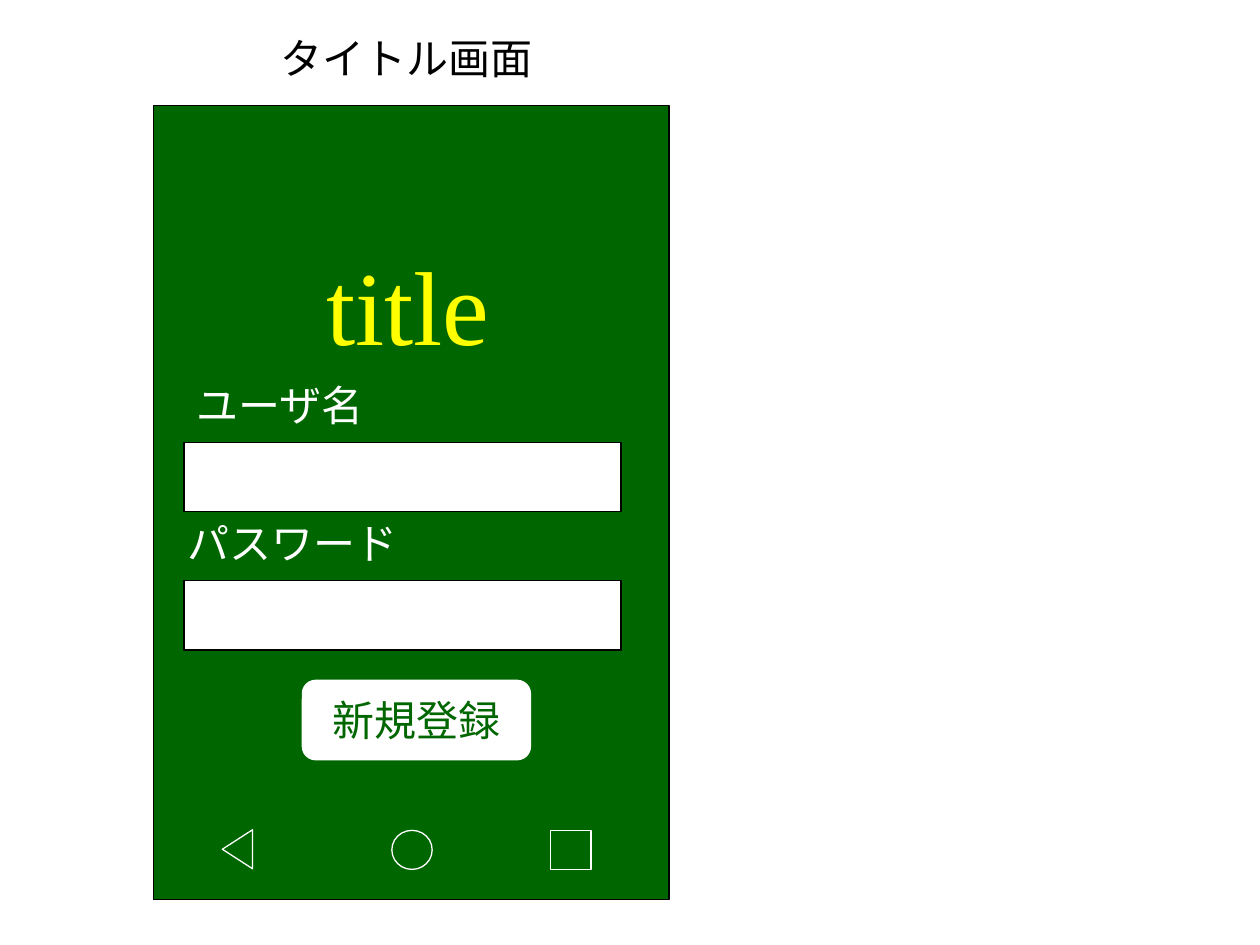
from pptx import Presentation
from pptx.dml.color import RGBColor
from pptx.enum.shapes import MSO_SHAPE
from pptx.enum.text import MSO_ANCHOR, MSO_AUTO_SIZE, PP_ALIGN
from pptx.util import Inches, Pt

RECT = MSO_SHAPE.RECTANGLE
ROUND = MSO_SHAPE.ROUNDED_RECTANGLE
OVAL = MSO_SHAPE.OVAL
TRIANGLE = MSO_SHAPE.ISOSCELES_TRIANGLE
MIDDLE, CENTER = MSO_ANCHOR.MIDDLE, PP_ALIGN.CENTER
GROW = MSO_AUTO_SIZE.SHAPE_TO_FIT_TEXT

GREEN, WHITE, BLACK, YELLOW = "006600", "FFFFFF", "000000", "FFFF00"
FONT = "Times New Roman"


def color(code):
    return RGBColor.from_string(code)


def apply(target, values):
    for name, value in values.items():
        setattr(target, name, value)


def write(frame, text, ink, size=24):
    para = frame.paragraphs[0]
    run = para.add_run()
    run.text = text
    apply(run.font, {"name": FONT, "size": Pt(size)})
    run.font.color.rgb = color(ink)
    return para


def shape(shapes, kind, box, line, fill=None):
    item = shapes.add_shape(kind, *map(Inches, box))
    item.shadow.inherit = False
    if fill:
        item.fill.solid()
        item.fill.fore_color.rgb = color(fill)
    else:
        item.fill.background()
    item.line.color.rgb = color(line)
    item.line.width = Pt(0.75)
    return item


def label(slide, box, text, ink, size=24, wrap=False):
    frame = slide.shapes.add_textbox(*map(Inches, box)).text_frame
    apply(frame, {"word_wrap": wrap, "auto_size": GROW})
    write(frame, text, ink, size)


def button(slide, box, text):
    item = shape(slide.shapes, ROUND, box, WHITE, WHITE)
    item.text_frame.vertical_anchor = MIDDLE
    write(item.text_frame, text, GREEN).alignment = CENTER


def icons(slide):
    group = slide.shapes.add_group_shape().shapes
    back = shape(group, TRIANGLE, (1.73, 6.62, 0.31, 0.24), WHITE)
    back.rotation = 270
    for kind, left in ((OVAL, 3.11), (RECT, 4.37)):
        shape(group, kind, (left, 6.59, 0.32, 0.31), WHITE)


def main():
    deck = Presentation()
    apply(deck, {"slide_width": Inches(10), "slide_height": Inches(7.5)})
    slide = deck.slides.add_slide(deck.slide_layouts[6])

    # Phone screen and headings
    shape(slide.shapes, RECT, (1.22, 0.84, 4.09, 6.3), BLACK, GREEN)
    label(slide, (2.13, 0.21, 2.22, 0.5), "タイトル画面", BLACK)
    button(slide, (2.4, 5.4, 1.81, 0.63), "新規登録")
    label(slide, (2.49, 1.86, 1.52, 1.1), "title", YELLOW, 60)

    # Navigation bar
    icons(slide)

    # Input fields and their labels
    for top in (4.61, 3.51):
        shape(slide.shapes, RECT, (1.46, top, 3.47, 0.55), BLACK, WHITE)
    label(slide, (1.46, 2.96, 1.65, 0.5), "ユーザ名", WHITE, wrap=True)
    label(slide, (1.39, 4.06, 1.89, 0.5), "パスワード", WHITE)

    deck.save("out.pptx")


if __name__ == "__main__":
    main()
